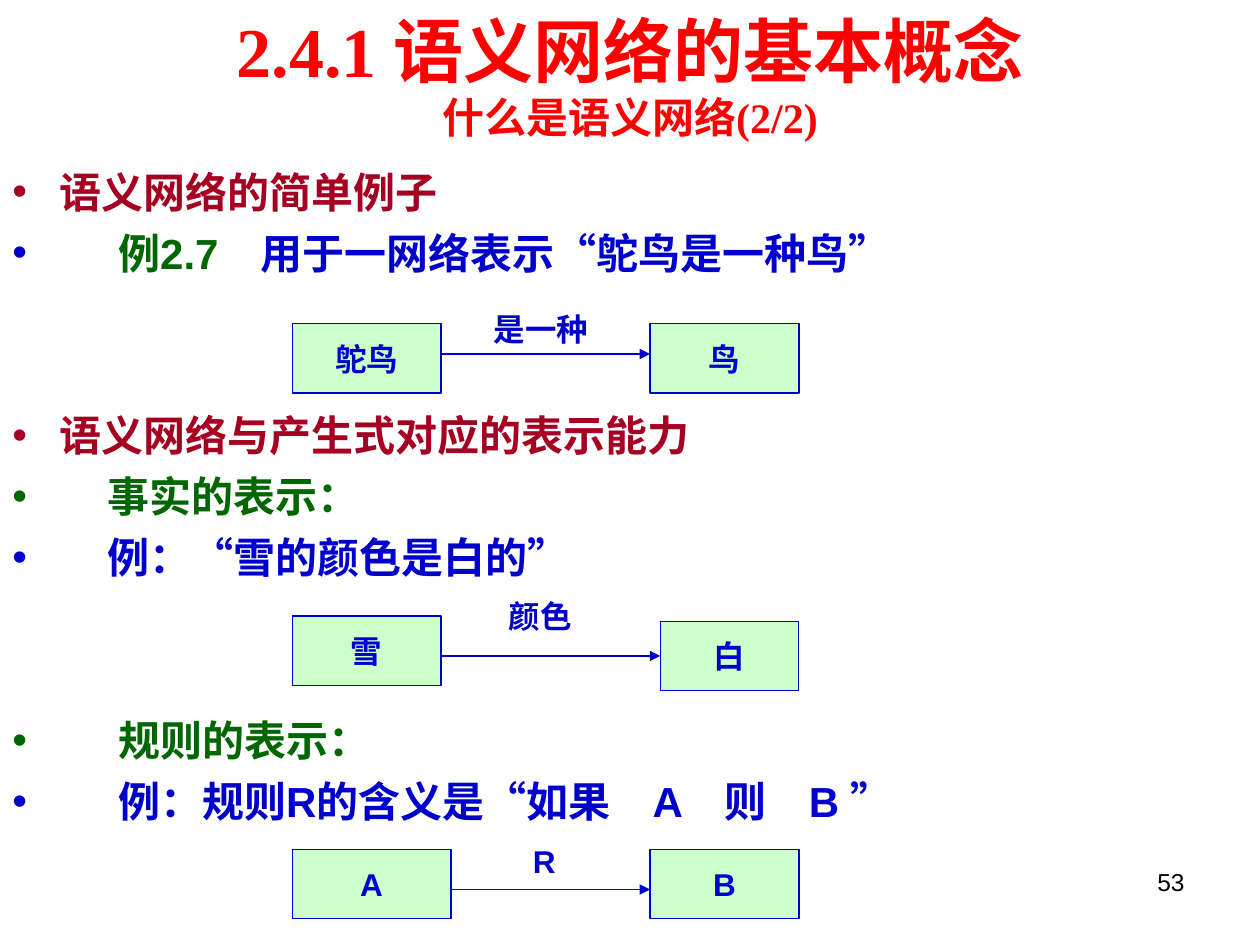
import pptx
import pptx.util
import pptx.dml.color
import pptx.enum.shapes
import pptx.enum.text
import pptx.oxml
import pptx.oxml.ns
import lxml.etree

Pt = pptx.util.Pt
Align = pptx.enum.text.PP_ALIGN
Anchor = pptx.enum.text.MSO_ANCHOR
qn = pptx.oxml.ns.qn

COLORS = {
    "title": "FF0000",
    "heading": "A50021",
    "topic": "006600",
    "blue": "0000CC",
    "node": "CCFFCC",
    "black": "000000",
}


def color(name):
    return pptx.dml.color.RGBColor.from_string(COLORS[name])


def style(run, size, tint, face="Arial", bold=True):
    run.font.size = Pt(size)
    run.font.name = face
    run.font.bold = bold
    run.font.color.rgb = color(tint)


deck = pptx.Presentation()
deck.slide_width, deck.slide_height = Pt(720), Pt(540)
slide = deck.slides.add_slide(deck.slide_layouts[5])
shapes = slide.shapes

title = shapes.title
title.left, title.top, title.width, title.height = Pt(36), Pt(0), Pt(648), Pt(85.7)
heading = title.text_frame
heading.text = "2.4.1 语义网络的基本概念\v什么是语义网络(2/2)"
heading.auto_size = pptx.enum.text.MSO_AUTO_SIZE.NONE
heading.vertical_anchor = Anchor.MIDDLE
heading.paragraphs[0].alignment = Align.CENTER
for run, size in zip(heading.paragraphs[0].runs, (40, 24)):
    style(run, size, "title", "Times New Roman")

page_number = shapes.add_textbox(Pt(516.2), Pt(491.8), Pt(167.8), Pt(37.4)).text_frame
page_number.word_wrap = True
page_number.text = "53"
page_number.paragraphs[0].alignment = Align.RIGHT
style(page_number.paragraphs[0].runs[0], 14, "black", bold=False)

GAP, DIAGRAM_GAP = 6, 75.7
points = [
    (0, 27, [("语义网络的简单例子", "heading")]),
    (GAP, 60.5, [("例2.7　", "topic"), ("用于一网络表示“鸵鸟是一种鸟”", "blue")]),
    (DIAGRAM_GAP, 27, [("语义网络与产生式对应的表示能力", "heading")]),
    (GAP, 54.5, [("事实的表示：", "topic")]),
    (GAP, 54.5, [("例：“雪的颜色是白的”", "blue")]),
    (DIAGRAM_GAP, 60.5, [("规则的表示：", "topic")]),
    (GAP, 60.5, [("例：规则R的含义是“如果　A　则　B ”", "blue")]),
]
body = shapes.add_textbox(Pt(0), Pt(91.4), Pt(705.6), Pt(448.6)).text_frame
body.word_wrap = True
for i, (space, indent, pieces) in enumerate(points):
    point = body.paragraphs[0] if i == 0 else body.add_paragraph()
    point.space_before = Pt(space)
    props = point._p.get_or_add_pPr()
    props.set("marL", str(Pt(indent)))
    props.set("indent", str(-Pt(indent)))
    bullet_color = lxml.etree.SubElement(props, qn("a:buClr"))
    first_tint = "blue" if i == 1 else pieces[0][1]
    lxml.etree.SubElement(bullet_color, qn("a:srgbClr"), val=COLORS[first_tint])
    lxml.etree.SubElement(props, qn("a:buFont"), typeface="Arial")
    lxml.etree.SubElement(props, qn("a:buChar"), char="•")
    for words, tint in pieces:
        run = point.add_run()
        run.text = words
        style(run, 24, tint)

NODE_HEIGHT = 39.6
relations = [
    (("鸵鸟", 167, 185, 85), ("鸟", 371.5, 185, 85), 202.3, ("是一种", 275, 173.5, 79.2)),
    (("雪", 167, 352, 85), ("白", 377.3, 355, 79.2), 374.8, ("颜色", 283.7, 337.7, 51.1)),
    (("A", 167, 485.3, 90.7), ("B", 371.5, 485.3, 85), 508.3, ("R", 297.4, 477.4, 33.8)),
]
for source, target, arrow_y, (relation, left, top, width) in relations:
    nodes = []
    for name, x, y, node_width in (source, target):
        node = shapes.add_shape(
            pptx.enum.shapes.MSO_SHAPE.RECTANGLE, Pt(x), Pt(y), Pt(node_width), Pt(NODE_HEIGHT))
        node.shadow.inherit = False
        node.fill.solid()
        node.fill.fore_color.rgb = color("node")
        node.line.color.rgb = color("blue")
        node.line.width = Pt(0.75)
        node.text_frame.word_wrap = False
        node.text_frame.vertical_anchor = Anchor.MIDDLE
        node.text_frame.text = name
        node.text_frame.paragraphs[0].alignment = Align.CENTER
        style(node.text_frame.paragraphs[0].runs[0], 18, "blue")
        nodes.append(node)

    arrow = shapes.add_connector(
        pptx.enum.shapes.MSO_CONNECTOR.STRAIGHT,
        Pt(source[1] + source[3]), Pt(arrow_y), Pt(target[1]), Pt(arrow_y))
    if abs(arrow_y - target[2] - NODE_HEIGHT / 2) < 0.1:
        arrow.end_connect(nodes[1], 1)
    arrow.line.color.rgb = color("blue")
    arrow.line.width = Pt(0.75)
    lxml.etree.SubElement(arrow.line._get_or_add_ln(), qn("a:tailEnd"), type="triangle")
    lxml.etree.SubElement(arrow._element.spPr, qn("a:effectLst"))

    label = shapes.add_textbox(Pt(left), Pt(top), Pt(width), Pt(29)).text_frame
    label.word_wrap = True
    label.text = relation
    style(label.paragraphs[0].runs[0], 18, "blue")

deck.save("out.pptx")
